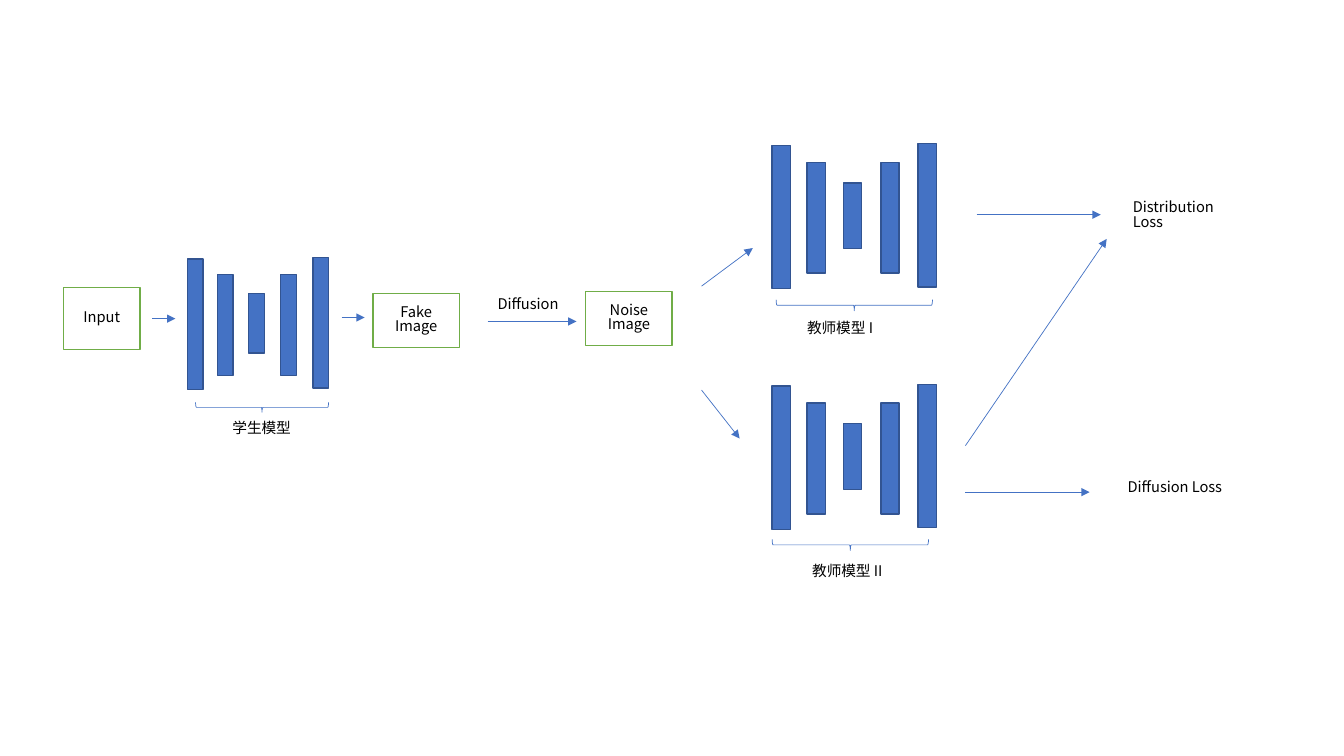
from lxml.etree import SubElement as Sub
from pptx import Presentation
from pptx.dml.color import RGBColor as RGB
from pptx.enum.shapes import MSO_CONNECTOR as Link, MSO_SHAPE as Kind
from pptx.enum.text import MSO_ANCHOR as Anchor, PP_ALIGN as Align
from pptx.oxml.ns import qn
from pptx.util import Cm, Pt

BLUE = RGB(0x44, 0x72, 0xC4)
NAVY = RGB(0x32, 0x54, 0x91)
GREEN = RGB(0x70, 0xAD, 0x47)
WHITE = RGB(0xFF, 0xFF, 0xFF)
BLACK = RGB(0, 0, 0)
FACE = "Noto Sans CJK SC"
FONT = {"name": FACE, "size": Pt(10.5)}
PARA = {"line_spacing": 0.82}
BARS = [(0, 0, 3.61), (0.88, 0.43, 2.79), (1.8, 0.95, 1.65),
        (2.74, 0.43, 2.79), (3.68, -0.04, 3.61)]
BAR_W = 0.46


def style(item, form):
    for key, val in form.items():
        setattr(item, key, val)


def write(shape, text, align, anchor):
    style(shape.text_frame, {"word_wrap": True, "vertical_anchor": anchor})
    para = shape.text_frame.paragraphs[0]
    style(para, {**PARA, "alignment": align})
    run = para.add_run()
    run.text = text
    style(run.font, FONT)
    run.font.color.rgb = BLACK
    Sub(run.font._element, qn("a:ea"), typeface=FACE)


def outline(line, color, width):
    line.color.rgb = color
    line.width = Pt(width)


def block(slide, box, fill, edge):
    rect = slide.shapes.add_shape(Kind.RECTANGLE, *map(Cm, box))
    rect.shadow.inherit = False
    rect.fill.solid()
    rect.fill.fore_color.rgb = fill
    outline(rect.line, edge, 1)
    return rect


def stage(slide, text, box):
    write(block(slide, box, WHITE, GREEN), text, Align.CENTER, Anchor.MIDDLE)


def label(slide, text, x, y, w):
    box = slide.shapes.add_textbox(Cm(x), Cm(y), Cm(w), Cm(0.71))
    write(box, text, Align.LEFT, Anchor.TOP)


def brace(slide, box):
    mark = slide.shapes.add_shape(Kind.LEFT_BRACE, *map(Cm, box))
    mark.rotation = 270
    mark.shadow.inherit = False
    mark.fill.background()
    outline(mark.line, BLUE, 0.5)


def model(slide, x, y, wide=1, tall=1):
    for dx, dy, h in BARS:
        box = x + dx * wide, y + dy * tall, BAR_W * wide, h * tall
        block(slide, box, BLUE, NAVY)


def arrow(slide, ends):
    link = slide.shapes.add_connector(Link.STRAIGHT, *map(Cm, ends))
    outline(link.line, BLUE, 0.5)
    Sub(link.line._get_or_add_ln(), qn("a:tailEnd"), type="triangle")
    Sub(link._element.spPr, qn("a:effectLst"))


def main():
    deck = Presentation()
    style(deck, {"slide_width": Cm(33.87), "slide_height": Cm(19.05)})
    slide = deck.slides.add_slide(deck.slide_layouts[6])

    stage(slide, "Input", (1.6, 7.24, 1.93, 1.57))
    stage(slide, "Fake Image", (9.4, 7.39, 2.18, 1.37))
    stage(slide, "Noise Image", (14.76, 7.34, 2.18, 1.37))

    model(slide, 4.72, 6.53, 0.86, 0.91)
    model(slide, 19.46, 3.66)
    model(slide, 19.46, 9.73)

    for box in [(6.48, 8.59, 0.25, 3.35), (21.39, 5.72, 0.28, 3.94),
                (21.29, 11.76, 0.28, 3.94)]:
        brace(slide, box)

    for text, x, y, w in [("学生模型", 5.61, 10.52, 2.41),
                          ("教师模型 I", 20.09, 7.98, 2.84),
                          ("教师模型 II", 20.22, 14.1, 3.4),
                          ("Diffusion", 12.29, 7.39, 2.11),
                          ("Distribution Loss", 28.3, 4.95, 3.35),
                          ("Diffusion Loss", 28.17, 11.99, 3.84)]:
        label(slide, text, x, y, w)

    for ends in [(3.84, 8.03, 4.42, 8.03), (8.61, 8, 9.19, 8),
                 (12.29, 8.1, 14.53, 8.1), (17.68, 7.21, 18.97, 6.25),
                 (17.68, 9.83, 18.64, 11.05), (24.61, 5.41, 27.74, 5.41),
                 (24.33, 11.23, 27.89, 6.02), (24.33, 12.4, 27.46, 12.4)]:
        arrow(slide, ends)

    deck.save("out.pptx")


if __name__ == "__main__":
    main()
